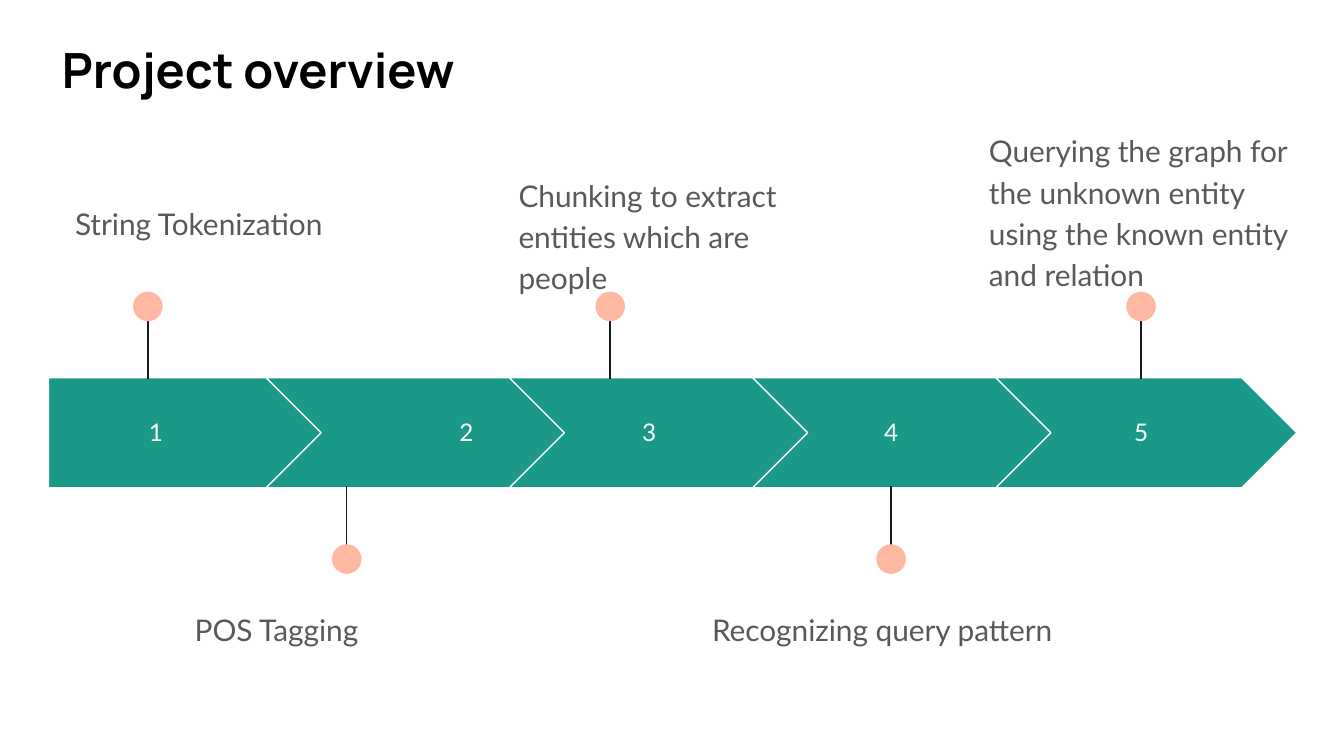
import pptx
import pptx.util
import pptx.dml.color
import pptx.enum.shapes
import pptx.enum.text
import pptx.oxml.ns
import lxml.etree

Inches = pptx.util.Inches
Pt = pptx.util.Pt
RGBColor = pptx.dml.color.RGBColor
SHAPE = pptx.enum.shapes.MSO_SHAPE
ANCHOR = pptx.enum.text.MSO_ANCHOR
ALIGN = pptx.enum.text.PP_ALIGN

TEAL = RGBColor(0x1A, 0x99, 0x88)
PEACH = RGBColor(0xFF, 0xB8, 0xA2)
INK = RGBColor(0x1A, 0x1A, 0x1A)
GREY = RGBColor(0x59, 0x59, 0x59)
BLACK = RGBColor(0, 0, 0)
WHITE = RGBColor(0xFF, 0xFF, 0xFF)


def write_text(holder, text, size, color, font="Lato", bold=False,
               align=ALIGN.LEFT, anchor=ANCHOR.TOP, spacing=1.0, after=0):
    frame = holder.text_frame
    frame.word_wrap = True
    frame.auto_size = pptx.enum.text.MSO_AUTO_SIZE.NONE
    frame.vertical_anchor = anchor
    frame.margin_left = frame.margin_right = Inches(0.1)
    frame.margin_top = frame.margin_bottom = Inches(0.1)
    paragraph = frame.paragraphs[0]
    paragraph.alignment = align
    paragraph.line_spacing = spacing
    paragraph.space_after = Pt(after)
    run = paragraph.add_run()
    run.text = text
    run.font.name = font
    run.font.size = Pt(size)
    run.font.bold = bold
    run.font.color.rgb = color


# Widescreen slide, 16:9
deck = pptx.Presentation()
deck.slide_width = Inches(10)
deck.slide_height = Inches(10 * 9 / 16)
slide = deck.slides.add_slide(deck.slide_layouts[5])
shapes = slide.shapes

# Title
title = shapes.title
title.left, title.top = Inches(0.36), Inches(0.2)
title.width, title.height = Inches(8.02), Inches(0.65)
write_text(title, "Project overview", 26, BLACK, font="Manrope", bold=True)

# Timeline: label, label box, number centre, pin position, pin above the band
steps = [
    ("String Tokenization", (0.46, 1.39, 2.45, 0.51), 1.16, 1.1, True),
    ("POS Tagging", (1.35, 4.41, 2.45, 0.99), 3.47, 2.58, False),
    ("Chunking to extract entities which are people",
     (3.76, 1.18, 2.45, 0.99), 4.83, 4.54, True),
    ("Recognizing query pattern", (5.2, 4.41, 2.87, 0.99), 6.63, 6.63, False),
    ("Querying the graph for the unknown entity using the known entity and relation",
     (7.26, 0.85, 2.45, 0.99), 8.49, 8.49, True),
]
BAND_TOP, BAND_HEIGHT = 2.81, 0.82
STEP_PITCH = 1.81
NUMBER_WIDTH = 1.44
DOT = 0.22

for index, (label, label_box, number_x, pin_x, above) in enumerate(steps):
    # Band segment
    if index == 0:
        kind, left, width = SHAPE.PENTAGON, 0.36, 2.05
    else:
        kind, left, width = SHAPE.CHEVRON, 1.98 + (index - 1) * STEP_PITCH, 2.24
    segment = shapes.add_shape(kind, Inches(left), Inches(BAND_TOP),
                               Inches(width), Inches(BAND_HEIGHT))
    segment.adjustments[0] = 0.5
    segment.shadow.inherit = False
    segment.fill.solid()
    segment.fill.fore_color.rgb = TEAL
    segment.line.color.rgb = WHITE
    segment.line.width = Pt(0.75)

    # Step number
    number = shapes.add_textbox(Inches(number_x - NUMBER_WIDTH / 2), Inches(2.96),
                                Inches(NUMBER_WIDTH), Inches(0.51))
    write_text(number, str(index + 1), 13, WHITE,
               align=ALIGN.CENTER, anchor=ANCHOR.MIDDLE)

    # Pin
    stem_start, stem_end, dot_top = (2.21, 2.82, 2.17) if above else (4.23, 3.62, 4.05)
    stem = shapes.add_connector(pptx.enum.shapes.MSO_CONNECTOR.STRAIGHT,
                                Inches(pin_x), Inches(stem_start),
                                Inches(pin_x), Inches(stem_end))
    stem.line.color.rgb = INK
    stem.line.width = Pt(0.75)
    lxml.etree.SubElement(stem._element.spPr, pptx.oxml.ns.qn("a:effectLst"))
    dot = shapes.add_shape(SHAPE.OVAL, Inches(pin_x - DOT / 2), Inches(dot_top),
                           Inches(DOT), Inches(DOT))
    dot.shadow.inherit = False
    dot.fill.solid()
    dot.fill.fore_color.rgb = PEACH
    dot.line.fill.background()

    # Label
    caption = shapes.add_textbox(*map(Inches, label_box))
    write_text(caption, label, 16, GREY, spacing=1.15, after=16)

deck.save("out.pptx")
